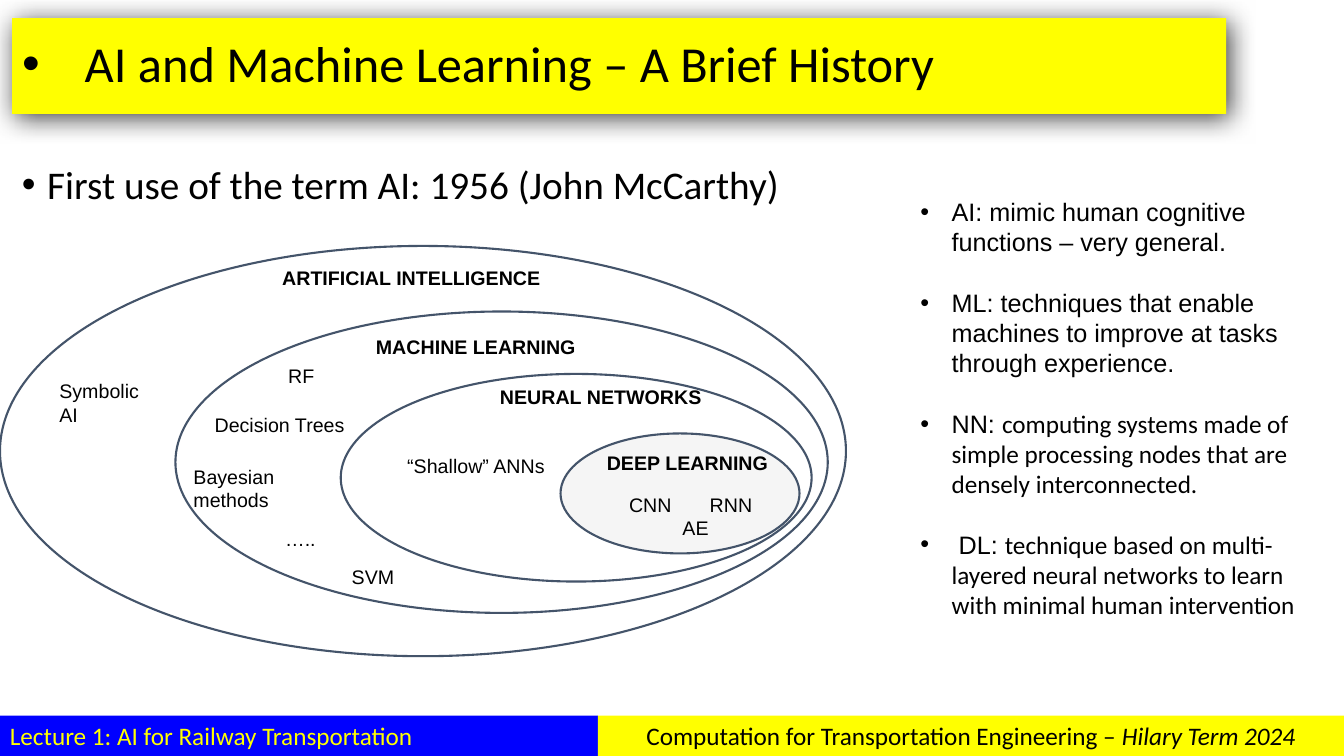
from dataclasses import dataclass

from lxml.etree import SubElement
from pptx import Presentation
from pptx.dml.color import RGBColor
from pptx.enum.shapes import MSO_SHAPE as Kind
from pptx.enum.text import MSO_ANCHOR as Anchor, MSO_AUTO_SIZE as Auto, PP_ALIGN as Align
from pptx.oxml.ns import qn
from pptx.util import Inches, Pt

BLACK, YELLOW, BLUE = "000000", "FFFF00", "0000FF"


@dataclass
class Ring:
    box: tuple
    name: str
    spot: tuple
    fill: str = ""


@dataclass
class Label:
    text: str
    spot: tuple
    width: float = 1.61


RINGS = [
    Ring((0, 2.44, 8.39, 4.07), "ARTIFICIAL INTELLIGENCE", (2.7, 2.59)),
    Ring((1.74, 3.09, 6.47, 2.99), "MACHINE LEARNING", (3.63, 3.27)),
    Ring((3.38, 3.71, 4.67, 2.06), "NEURAL NETWORKS", (4.86, 3.77)),
    Ring((5.56, 4.3, 2.37, 1.19), "DEEP LEARNING", (5.92, 4.42), "F5F5F5"),
]
LABELS = [
    Label("Symbolic AI", (0.49, 3.71), 1.02),
    Label("Decision Trees", (2.03, 4.05)),
    Label("Bayesian methods", (1.82, 4.56)),
    Label("…..", (2.73, 5.18)),
    Label("“Shallow” ANNs", (3.94, 4.45)),
    Label("SVM", (3.39, 5.56)),
    Label("RF", (2.76, 3.56)),
]
TERMS = [
    ("AI: mimic human cognitive functions – very general.", ""),
    ("ML: techniques that enable machines to improve at tasks through experience.", ""),
    ("NN: ", "computing systems made of simple processing nodes that are densely interconnected."),
    (" DL: ", "technique based on multi-layered neural networks to learn with minimal human intervention"),
]


def tint(code: str) -> RGBColor:
    return RGBColor.from_string(code)


def write(par, text: str, *, size: float = 14, font: str = "Arial", color: str = BLACK,
          bold: bool = False, italic: bool = False) -> None:
    run = par.add_run()
    run.text = text
    face = run.font
    face.size, face.name = Pt(size), font
    face.bold, face.italic = bold, italic
    face.color.rgb = tint(color)


def bullet(par, indent: float) -> None:
    props = par._p.get_or_add_pPr()
    props.set("marL", str(Inches(indent)))
    props.set("indent", str(-Inches(indent)))
    SubElement(props, qn("a:buFont"), typeface="Arial")
    SubElement(props, qn("a:buChar"), char="•")


def tabs(par, *stops: float) -> None:
    row = SubElement(par._p.get_or_add_pPr(), qn("a:tabLst"))
    for stop in stops:
        SubElement(row, qn("a:tab"), pos=str(Inches(stop)), algn="l")


def shade(shape) -> None:
    glow = SubElement(SubElement(shape._element.spPr, qn("a:effectLst")), qn("a:outerShdw"),
                      blurRad=str(Pt(19)), dist=str(Pt(3)), dir="2700000",
                      algn="tl", rotWithShape="0")
    ink = SubElement(glow, qn("a:srgbClr"), val=BLACK)
    SubElement(ink, qn("a:alpha"), val="74000")


def frame(slide, *box: float):
    area = slide.shapes.add_textbox(*map(Inches, box)).text_frame
    area.word_wrap = True
    return area


def draw(slide, kind: Kind, box: tuple, fill: str = "", line: str = ""):
    shape = slide.shapes.add_shape(kind, *map(Inches, box))
    shape.shadow.inherit = False
    if fill:
        shape.fill.solid()
        shape.fill.fore_color.rgb = tint(fill)
    else:
        shape.fill.background()
    if line:
        shape.line.color.rgb = tint(line)
        shape.line.width = Pt(1.5)
    else:
        shape.line.fill.background()
    return shape


def head(slide) -> None:
    title = slide.shapes.title
    title.left, title.top, title.width, title.height = map(Inches, (0.12, 0.18, 12.04, 0.95))
    title.fill.solid()
    title.fill.fore_color.rgb = tint(YELLOW)
    shade(title)
    area = title.text_frame
    area.auto_size, area.vertical_anchor = Auto.NONE, Anchor.MIDDLE
    par = area.paragraphs[0]
    par.alignment, par.line_spacing = Align.LEFT, 0.9
    bullet(par, 0.62)
    write(par, "AI and Machine Learning – A Brief History", size=36, font="Calibri")


def lead(slide) -> None:
    par = frame(slide, 0.12, 1.59, 11.5, 0.6).paragraphs[0]
    par.line_spacing = 0.9
    bullet(par, 0.25)
    write(par, "First use of the term AI: 1956 (John McCarthy)", size=28, font="Calibri")


def nest(slide) -> None:
    for ring in RINGS:
        draw(slide, Kind.OVAL, ring.box, ring.fill, "44546A")
        write(frame(slide, *ring.spot, 3.11, 0.34).paragraphs[0], ring.name, bold=True)
    for label in LABELS:
        write(frame(slide, *label.spot, label.width, 0.34).paragraphs[0], label.text)
    area = frame(slide, 6.14, 4.84, 1.48, 0.57)
    for par, text in zip((area.paragraphs[0], area.add_paragraph()), ("CNN\tRNN", "\tAE")):
        tabs(par, 0.8 if text.startswith("CNN") else 0.53)
        write(par, text)


def terms(slide) -> None:
    area = frame(slide, 9.03, 1.9, 4.12, 4.95)
    for spot, (term, rest) in enumerate(TERMS):
        par = area.add_paragraph() if spot else area.paragraphs[0]
        bullet(par, 0.31)
        if spot:
            par.space_before = Pt(21.6)
        write(par, term, size=18)
        if rest:
            write(par, rest, size=18, font="Calibri")


def foot(slide) -> None:
    left = draw(slide, Kind.RECTANGLE, (0, 7.1, 5.93, 0.4), BLUE).text_frame.paragraphs[0]
    left.alignment = Align.LEFT
    write(left, "Lecture 1: AI for Railway Transportation", size=18, font="Calibri", color=YELLOW)
    right = draw(slide, Kind.RECTANGLE, (5.93, 7.1, 7.4, 0.4), YELLOW).text_frame.paragraphs[0]
    right.alignment = Align.CENTER
    write(right, "Computation for Transportation Engineering – ", size=18, font="Calibri")
    write(right, "Hilary Term 2024", size=18, font="Calibri", italic=True)


def main() -> None:
    deck = Presentation()
    deck.slide_width, deck.slide_height = Inches(13.33), Inches(7.5)
    slide = deck.slides.add_slide(deck.slide_layouts[5])
    for part in (head, lead, nest, terms, foot):
        part(slide)
    deck.save("out.pptx")


if __name__ == "__main__":
    main()
